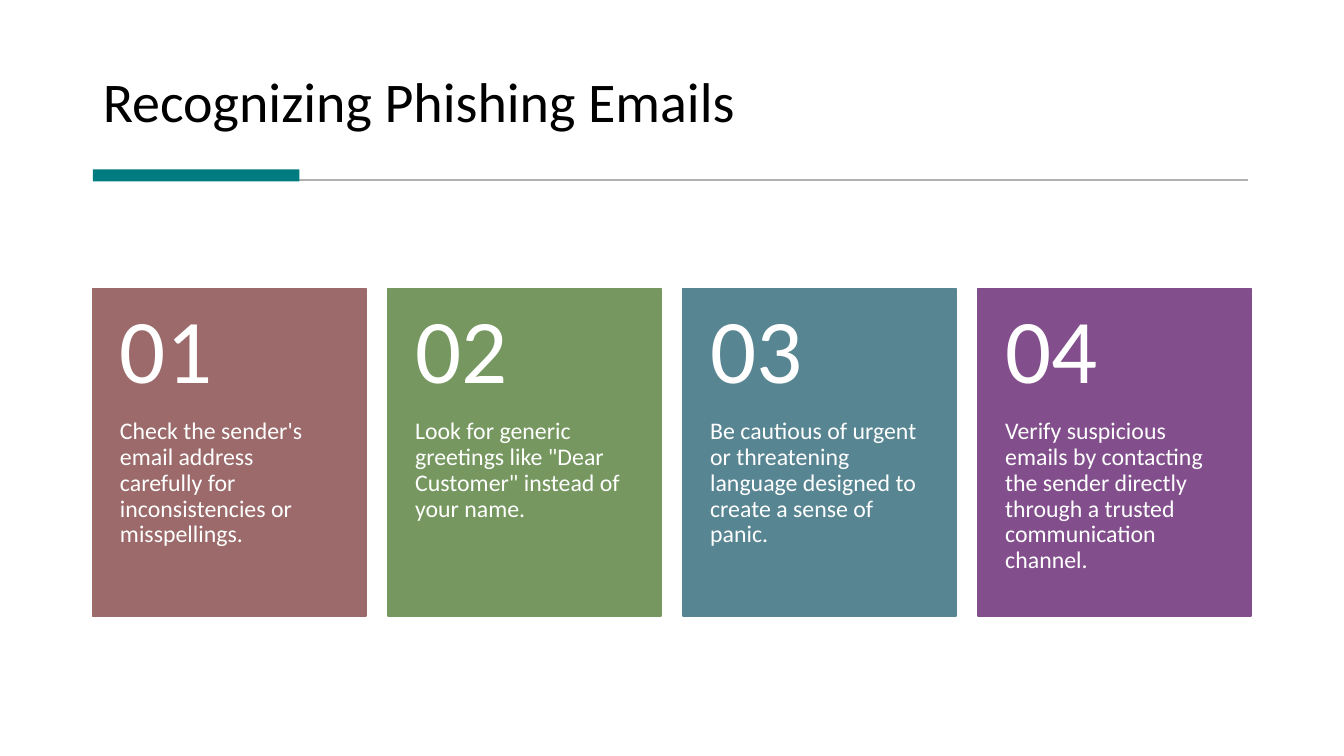
import pptx
import pptx.util
import pptx.dml.color
import pptx.enum.shapes
import pptx.enum.text
import pptx.oxml.ns
import lxml.etree

Inches = pptx.util.Inches
Pt = pptx.util.Pt
Anchor = pptx.enum.text.MSO_ANCHOR
Shape = pptx.enum.shapes.MSO_SHAPE

theme = {
    "font": "Calibri",
    "ink": "000000",
    "paper": "FFFFFF",
    "accent": "007C80",
    "rule": "B0B0B0",
    "cards": ["9C6A6A", "769860", "578592", "824F8C"],
    "title": 40,
    "number": 65,
    "body": 17,
}


def color(name):
    return pptx.dml.color.RGBColor.from_string(name)


def write(box, text, size, ink, anchor, inset):
    frame = box.text_frame
    frame.word_wrap = True
    frame.auto_size = pptx.enum.text.MSO_AUTO_SIZE.NONE
    frame.vertical_anchor = anchor
    left, top, right, bottom = inset
    frame.margin_left = Inches(left)
    frame.margin_top = Inches(top)
    frame.margin_right = Inches(right)
    frame.margin_bottom = Inches(bottom)
    frame.text = text
    line = frame.paragraphs[0]
    line.alignment = pptx.enum.text.PP_ALIGN.LEFT
    line.line_spacing = 0.9
    line.space_before = Pt(0)
    line.font.name = theme["font"]
    line.font.size = Pt(size)
    line.font.color.rgb = color(ink)


deck = pptx.Presentation()
deck.slide_width = Inches(13.33)
deck.slide_height = Inches(7.5)
slide = deck.slides.add_slide(deck.slide_layouts[5])

left, width = 0.92, 11.49

title = slide.shapes.title
title.left, title.top = Inches(left), Inches(0.28)
title.width, title.height = Inches(width), Inches(1.11)
write(title, "Recognizing Phishing Emails", size=theme["title"], ink=theme["ink"],
      anchor=Anchor.BOTTOM, inset=(0.1, 0.05, 0.1, 0.05))

rule = slide.shapes.add_connector(
    pptx.enum.shapes.MSO_CONNECTOR.STRAIGHT,
    Inches(0.95), Inches(1.79), Inches(12.38), Inches(1.79))
rule.line.color.rgb = color(theme["rule"])
rule.line.width = Pt(1.5)
lxml.etree.SubElement(rule._element.spPr, pptx.oxml.ns.qn("a:effectLst"))

bar = slide.shapes.add_shape(
    Shape.RECTANGLE, Inches(left), Inches(1.68), Inches(2.05), Inches(0.12))
bar.shadow.inherit = False
bar.fill.solid()
bar.fill.fore_color.rgb = color(theme["accent"])
bar.line.fill.background()

tips = [
    "Check the sender's email address carefully for inconsistencies or misspellings.",
    'Look for generic greetings like "Dear Customer" instead of your name.',
    "Be cautious of urgent or threatening language designed to create a sense of panic.",
    "Verify suspicious emails by contacting the sender directly through a trusted communication channel.",
]
top, wide, tall, head = 2.86, 2.71, 3.25, 1.3
step = (width - wide) / (len(tips) - 1)

for i, (tip, fill) in enumerate(zip(tips, theme["cards"])):
    x = Inches(left + i * step)
    group = slide.shapes.add_group_shape()

    card = group.shapes.add_shape(
        Shape.RECTANGLE, x, Inches(top), Inches(wide), Inches(tall))
    card.shadow.inherit = False
    card.fill.solid()
    card.fill.fore_color.rgb = color(fill)
    card.line.color.rgb = color(fill)
    card.line.width = Pt(1)

    body = group.shapes.add_textbox(
        x, Inches(top + head), Inches(wide), Inches(tall - head))
    write(body, tip, size=theme["body"], ink=theme["paper"],
          anchor=Anchor.TOP, inset=(0.27, 0, 0.27, 0.36))

    number = group.shapes.add_textbox(x, Inches(top), Inches(wide), Inches(head))
    write(number, f"{i + 1:02}", size=theme["number"], ink=theme["paper"],
          anchor=Anchor.MIDDLE, inset=(0.27, 0.18, 0.27, 0.18))

deck.save("out.pptx")
